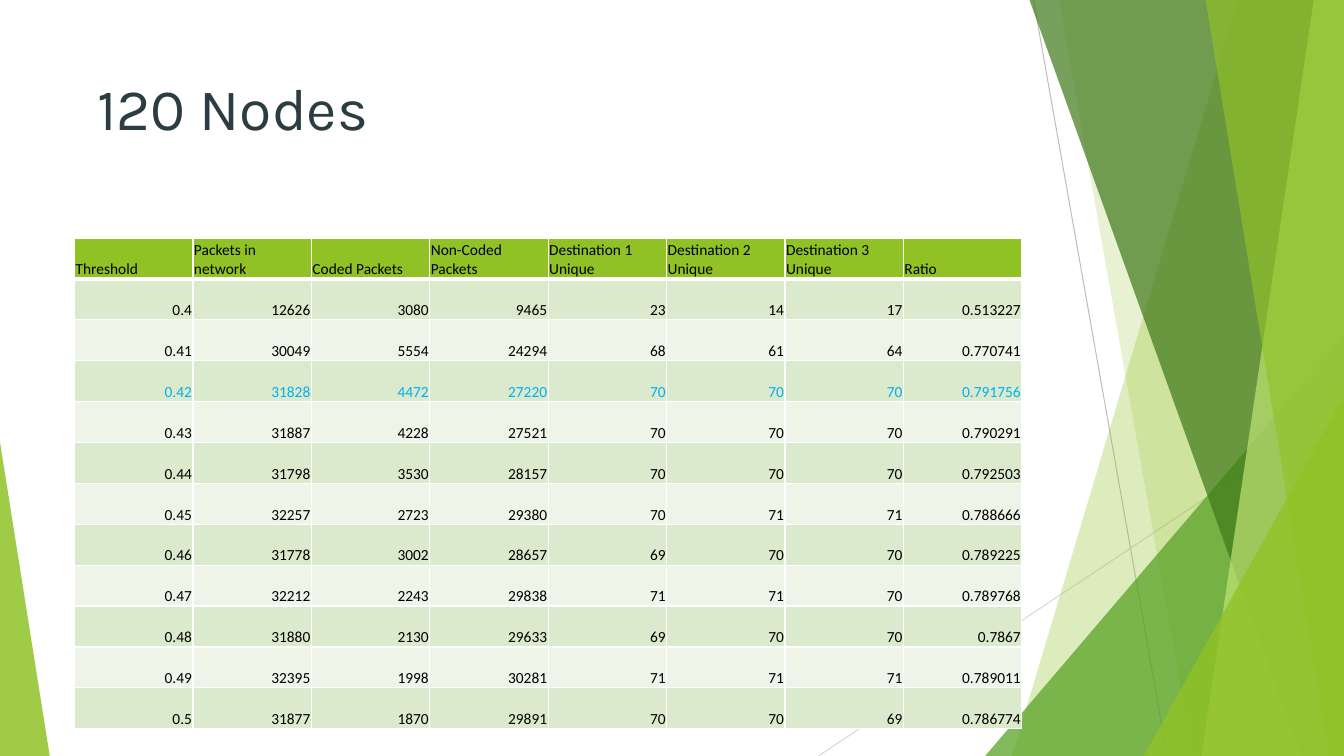
from dataclasses import dataclass

from lxml.etree import SubElement
from pptx import Presentation
from pptx.dml.color import RGBColor
from pptx.enum.shapes import MSO_CONNECTOR, MSO_SHAPE
from pptx.enum.text import MSO_ANCHOR, PP_ALIGN
from pptx.oxml.ns import qn
from pptx.util import Inches, Pt


@dataclass(frozen=True)
class Theme:
    lime: str = "90C226"
    green: str = "54A021"
    forest: str = "3F7819"
    pale_lime: str = "C0E474"
    band_dark: str = "DBE9CD"
    band_light: str = "EEF4E8"
    border: str = "FFFFFF"
    text: str = "000000"
    highlight: str = "00B0F0"
    title: str = "2C3C43"
    line_dark: str = "BFBFBF"
    line_light: str = "D9D9D9"
    title_font: str = "Karla"
    body_font: str = "Calibri"
    title_size: int = 42
    body_size: int = 11


HEADINGS = ["Threshold", "Packets in network", "Coded Packets", "Non-Coded Packets",
            "Destination 1 Unique", "Destination 2 Unique", "Destination 3 Unique", "Ratio"]
RESULTS = [
    ["0.4", "12626", "3080", "9465", "23", "14", "17", "0.513227"],
    ["0.41", "30049", "5554", "24294", "68", "61", "64", "0.770741"],
    ["0.42", "31828", "4472", "27220", "70", "70", "70", "0.791756"],
    ["0.43", "31887", "4228", "27521", "70", "70", "70", "0.790291"],
    ["0.44", "31798", "3530", "28157", "70", "70", "70", "0.792503"],
    ["0.45", "32257", "2723", "29380", "70", "71", "71", "0.788666"],
    ["0.46", "31778", "3002", "28657", "69", "70", "70", "0.789225"],
    ["0.47", "32212", "2243", "29838", "71", "71", "70", "0.789768"],
    ["0.48", "31880", "2130", "29633", "69", "70", "70", "0.7867"],
    ["0.49", "32395", "1998", "30281", "71", "71", "71", "0.789011"],
    ["0.5", "31877", "1870", "29891", "70", "70", "69", "0.786774"],
]
BEST_THRESHOLD = "0.42"


def write(frame, text, *, font, size, color, align=PP_ALIGN.LEFT):
    paragraph = frame.paragraphs[0]
    paragraph.alignment = align
    run = paragraph.add_run()
    run.text = text
    run.font.name = font
    run.font.size = Pt(size)
    run.font.color.rgb = RGBColor.from_string(color)


class SlideBuilder:
    """Places elements on one slide; lengths are percentages of its size."""

    def __init__(self, deck, theme):
        self.width, self.height = deck.slide_width, deck.slide_height
        self.theme = theme
        self.slide = deck.slides.add_slide(deck.slide_layouts[5])
        self.shapes = self.slide.shapes

    def x(self, share):
        return round(self.width * share / 100)

    def y(self, share):
        return round(self.height * share / 100)

    def box(self, left, top, width, height):
        return self.x(left), self.y(top), self.x(width), self.y(height)

    def title(self, text, *box):
        heading = self.shapes.title
        heading.left, heading.top, heading.width, heading.height = self.box(*box)
        heading.text_frame.vertical_anchor = MSO_ANCHOR.TOP
        write(heading.text_frame, text, font=self.theme.title_font,
              size=self.theme.title_size, color=self.theme.title)

    def line(self, x1, y1, x2, y2, color):
        ray = self.shapes.add_connector(MSO_CONNECTOR.STRAIGHT, self.x(x1), self.y(y1),
                                        self.x(x2), self.y(y2))
        ray.line.color.rgb = RGBColor.from_string(color)
        ray.line.width = Pt(0.75)
        SubElement(ray._element.spPr, qn("a:effectLst"))

    def tint(self, facet, color, opacity):
        facet.shadow.inherit = False
        facet.line.fill.background()
        facet.fill.solid()
        facet.fill.fore_color.rgb = RGBColor.from_string(color)
        srgb = facet._element.spPr.find(".//" + qn("a:srgbClr"))
        SubElement(srgb, qn("a:alpha"), val=str(opacity * 1000))

    def shard(self, top_x, bottom_x, color, opacity):
        """Full-height facet with a slanted left edge, reaching the right side."""
        outline = self.shapes.build_freeform(self.x(top_x), 0)
        outline.add_line_segments([(self.width, 0), (self.width, self.height),
                                   (self.x(bottom_x), self.height)])
        self.tint(outline.convert_to_shape(), color, opacity)

    def corner(self, left, top, width, apex, color, opacity):
        """Triangle standing on the bottom edge."""
        wedge = self.shapes.add_shape(MSO_SHAPE.ISOSCELES_TRIANGLE,
                                      *self.box(left, top, width, 100 - top))
        wedge.adjustments[0] = apex
        self.tint(wedge, color, opacity)

    def cell(self, cell, text, *, fill, color, align, top=1, bottom=1):
        cell.margin_left = cell.margin_right = cell.margin_top = Inches(0.01)
        cell.margin_bottom = 0
        cell.vertical_anchor = MSO_ANCHOR.BOTTOM
        properties = cell._tc.get_or_add_tcPr()
        for side, points in (("L", 1), ("R", 1), ("T", top), ("B", bottom)):
            edge = SubElement(properties, qn(f"a:ln{side}"), w=str(Pt(points)))
            SubElement(SubElement(edge, qn("a:solidFill")), qn("a:srgbClr"),
                       val=self.theme.border)
        cell.fill.solid()
        cell.fill.fore_color.rgb = RGBColor.from_string(fill)
        write(cell.text_frame, text, font=self.theme.body_font,
              size=self.theme.body_size, color=color, align=align)

    def table(self, headings, results, *box):
        theme = self.theme
        left, top, width, height = self.box(*box)
        grid = self.shapes.add_table(len(results) + 1, len(headings),
                                     left, top, width, height).table
        for row in grid.rows:
            row.height = height // len(grid.rows)
        for column, heading in enumerate(headings):
            self.cell(grid.cell(0, column), heading, fill=theme.lime, color=theme.text,
                      align=PP_ALIGN.LEFT, bottom=3)
        for number, result in enumerate(results, 1):
            fill = theme.band_dark if number % 2 else theme.band_light
            color = theme.highlight if result[0] == BEST_THRESHOLD else theme.text
            for column, value in enumerate(result):
                self.cell(grid.cell(number, column), value, fill=fill, color=color,
                          align=PP_ALIGN.RIGHT, top=3 if number == 1 else 1)


def main():
    deck = Presentation()
    deck.slide_width, deck.slide_height = Inches(13.33), Inches(7.5)
    theme = Theme()
    page = SlideBuilder(deck, theme)

    # Thin rays behind the facets
    page.line(76.9, 0, 86.85, 100, theme.line_dark)
    page.line(100, 53.7, 60.9, 100, theme.line_light)

    # Green facets on the right, and the wedge on the left
    page.shard(92.1, 75.3, theme.lime, 30)
    page.shard(78.8, 88.75, theme.lime, 20)
    page.corner(73.3, 44.4, 26.7, 1, theme.green, 72)
    page.shard(76.6, 96.8, theme.forest, 70)
    page.shard(97.75, 89.4, theme.pale_lime, 70)
    page.shard(89.7, 98.9, theme.lime, 65)
    page.corner(85.1, 52.4, 14.9, 1, theme.lime, 80)
    page.corner(0, 58.5, 3.7, 0, theme.lime, 85)

    # Results by threshold
    page.table(HEADINGS, RESULTS, 5.55, 31.5, 70.5, 64.9)

    # Title
    page.title("120 Nodes", 6.5, 8.8, 77.2, 20.4)

    deck.save("out.pptx")


if __name__ == "__main__":
    main()
